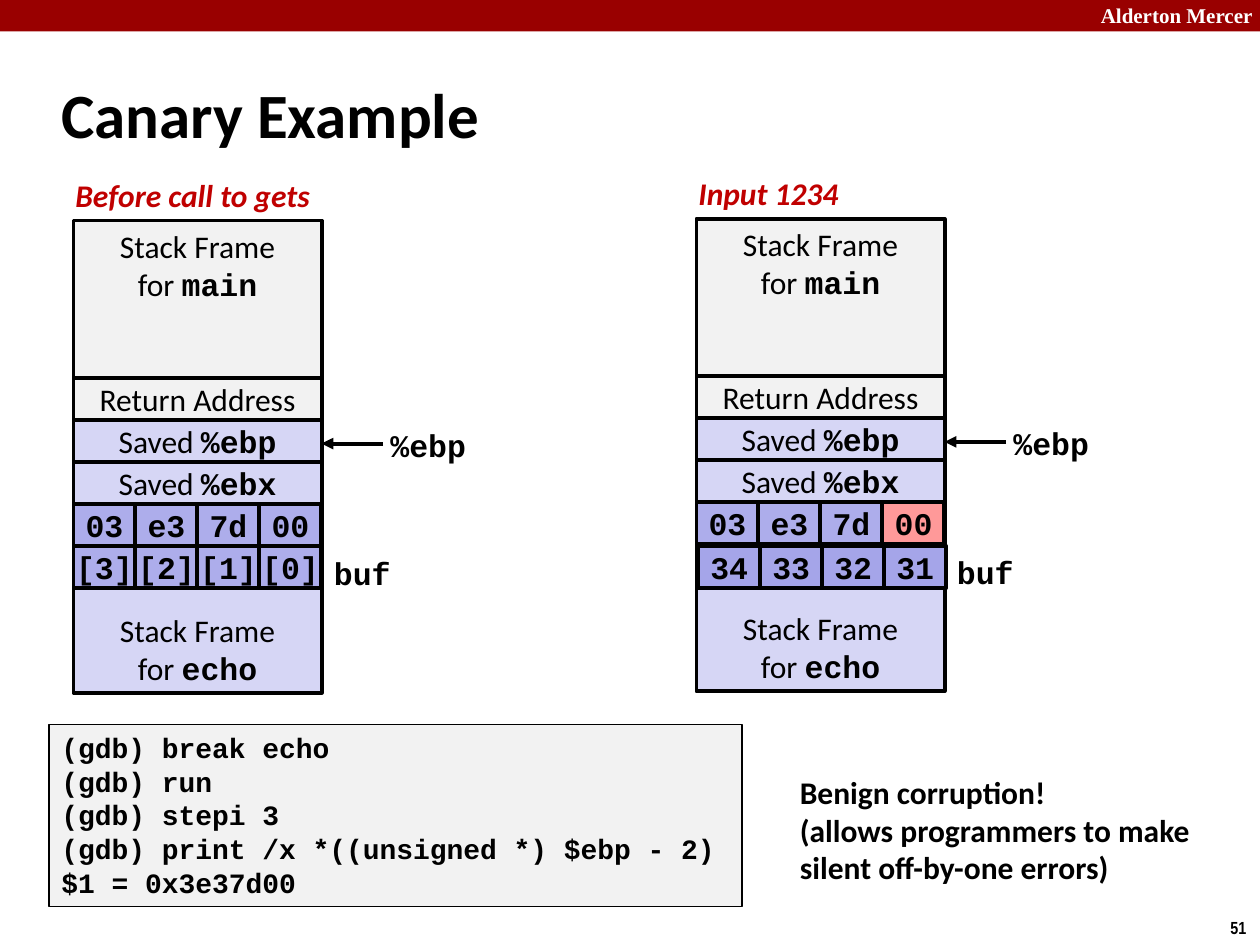
from lxml import etree
from pptx import Presentation
from pptx.dml.color import RGBColor
from pptx.enum.shapes import MSO_CONNECTOR, MSO_SHAPE
from pptx.enum.text import MSO_ANCHOR, PP_ALIGN
from pptx.oxml.ns import qn
from pptx.util import Pt

RECTANGLE = MSO_SHAPE.RECTANGLE
STRAIGHT = MSO_CONNECTOR.STRAIGHT
TOP, MIDDLE, BOTTOM = MSO_ANCHOR.TOP, MSO_ANCHOR.MIDDLE, MSO_ANCHOR.BOTTOM
LEFT, CENTER = PP_ALIGN.LEFT, PP_ALIGN.CENTER

COLORS = {
    "banner": "990000", "white": "FFFFFF", "black": "000000", "caption": "C00000",
    "caller": "F2F2F2", "callee": "D6D6F5", "canary": "ADADEB",
    "input": "A5A5E9", "corrupted": "FF9999",
}
SANS, MONO, SERIF, NARROW = "Calibri", "Courier New", "Times New Roman", "Arial Narrow"

FRAME_WIDTH, ROW_HEIGHT = 141.75, 24
BYTE_WIDTH = FRAME_WIDTH / 4


def color(name):
    return RGBColor.from_string(COLORS[name])


def write(shape, lines, size=18, font=SANS, ink="black", bold=False, italic=False,
          align=LEFT, anchor=TOP, wrap=False):
    frame = shape.text_frame
    frame.word_wrap = wrap
    frame.vertical_anchor = anchor
    frame.text = "\n".join(lines)
    for paragraph, line in zip(frame.paragraphs, lines):
        paragraph.alignment = align
        paragraph.text = ""
        for index, part in enumerate(line.split("`")):
            if not part:
                continue
            is_code = index % 2 == 1
            run = paragraph.add_run()
            run.text = part
            run.font.name = MONO if is_code else font
            run.font.size = Pt(size)
            run.font.bold = bold or is_code
            run.font.italic = italic
            run.font.color.rgb = color(ink)


def add_label(slide, x, y, width, height, lines, **style):
    label = slide.shapes.add_textbox(Pt(x), Pt(y), Pt(width), Pt(height))
    write(label, lines, **style)


def add_box(slide, x, y, width, height, fill, lines=(), border=2.25, **style):
    box = slide.shapes.add_shape(RECTANGLE, Pt(x), Pt(y), Pt(width), Pt(height))
    box.shadow.inherit = False
    box.fill.solid()
    box.fill.fore_color.rgb = color(fill)
    if border:
        box.line.color.rgb = color("black")
        box.line.width = Pt(border)
    else:
        box.line.fill.background()
    if lines:
        write(box, lines, **style)


def add_pointer(slide, start_x, end_x, y):
    pointer = slide.shapes.add_connector(STRAIGHT, Pt(start_x), Pt(y), Pt(end_x), Pt(y))
    pointer.line.color.rgb = color("black")
    pointer.line.width = Pt(2.25)
    etree.SubElement(pointer.line._get_or_add_ln(), qn("a:tailEnd"), type="triangle")
    etree.SubElement(pointer._element.spPr, qn("a:effectLst"))


def add_bytes(slide, x, y, cells):
    for column, (value, fill) in enumerate(cells):
        add_box(slide, x + column * BYTE_WIDTH, y, BYTE_WIDTH, ROW_HEIGHT, fill,
                [f"`{value}`"], align=CENTER, anchor=MIDDLE)


def add_stack(slide, x, y, caption, caption_width, canary, buffer, buffer_shift=0):
    add_label(slide, x - 6, y - 29, caption_width, 29, [caption],
              ink="caption", bold=True, italic=True)
    sections = [
        (0, 90, "caller", ["Stack Frame", "for `main`"], TOP),
        (90, ROW_HEIGHT, "caller", ["Return Address"], MIDDLE),
        (114, ROW_HEIGHT, "callee", ["Saved `%ebp`"], MIDDLE),
        (138, 132, "callee", ["Stack Frame", "for `echo`"], BOTTOM),
        (138, ROW_HEIGHT, "callee", ["Saved `%ebx`"], MIDDLE),
    ]
    for offset, height, fill, lines, anchor in sections:
        add_box(slide, x, y + offset, FRAME_WIDTH, height, fill, lines,
                align=CENTER, anchor=anchor)
    add_bytes(slide, x, y + 162, canary)
    add_bytes(slide, x + buffer_shift, y + 186 + buffer_shift, buffer)
    right = x + FRAME_WIDTH
    add_pointer(slide, right + 35.25, right, y + 127.5)
    add_label(slide, right + 32.25, y + 114, 58, 29, ["`%ebp`"])
    add_label(slide, right, y + 187.25, 47, 29, ["`buf`"])


def add_banner(slide, x, y, width, height):
    add_box(slide, x, y, width, height, "banner", border=0)
    add_label(slide, x + width - 98, y - 2, 103, 22, ["Alderton Mercer"],
              size=12, font=SERIF, ink="white", bold=True, wrap=True)


def add_session(slide, x, y, width, height):
    commands = [
        "(gdb) break echo",
        "(gdb) run",
        "(gdb) stepi 3",
        "(gdb) print /x *((unsigned *) $ebp - 2)",
        "$1 = 0x3e37d00",
    ]
    add_box(slide, x, y, width, height, "caller", commands, border=1,
            size=16, font=MONO, bold=True, wrap=True)


def build():
    deck = Presentation()
    deck.slide_width, deck.slide_height = Pt(720), Pt(540)
    slide = deck.slides.add_slide(deck.slide_layouts[6])

    add_banner(slide, 0, 0, 720, 18)
    add_label(slide, 28, 34.5, 598, 60, ["Canary Example"],
              size=36, bold=True, anchor=MIDDLE, wrap=True)
    add_session(slide, 28, 414, 396, 104)

    canary = [(value, "canary") for value in ("03", "e3", "7d", "00")]
    indexes = [(f"[{index}]", "canary") for index in (3, 2, 1, 0)]
    add_stack(slide, 42, 126, "Before call to gets", 150, canary, indexes)

    damaged = canary[:3] + [("00", "corrupted")]
    typed = [(value, "input") for value in ("34", "33", "32", "31")]
    add_stack(slide, 398, 125, "Input 1234", 96, damaged, typed, buffer_shift=1)

    add_label(slide, 450, 438, 252, 73,
              ["Benign corruption!", "(allows programmers to make silent off-by-one errors)"],
              bold=True, wrap=True)
    add_label(slide, 696, 520.5, 24, 19.5, ["51"], size=10, font=NARROW, bold=True)
    deck.save("out.pptx")


build()
